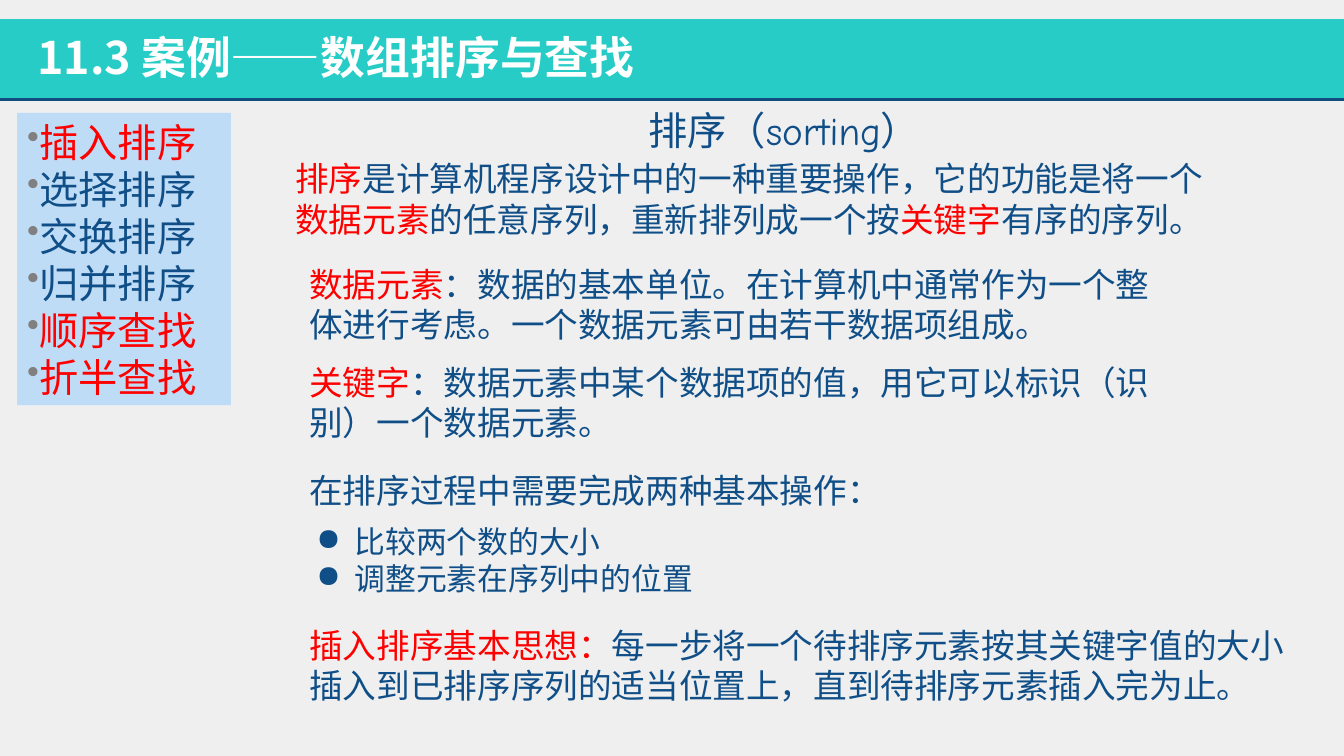
from lxml import etree
from pptx import Presentation
from pptx.dml.color import RGBColor
from pptx.enum.shapes import MSO_CONNECTOR, MSO_SHAPE
from pptx.enum.text import MSO_ANCHOR, PP_ALIGN
from pptx.oxml.ns import qn
from pptx.util import Inches, Pt

RECTANGLE, STRAIGHT = MSO_SHAPE.RECTANGLE, MSO_CONNECTOR.STRAIGHT
MIDDLE, TOP = MSO_ANCHOR.MIDDLE, MSO_ANCHOR.TOP
LEFT, CENTER = PP_ALIGN.LEFT, PP_ALIGN.CENTER

WIDTH, HEIGHT = 13.33, 7.5
BODY_LEFT = 2.97
CJK, LATIN = "Noto Sans CJK JP", "Comic Neue"
RED, NAVY, WHITE = "FF0000", "104E87", "FFFFFF"
LINE_HEIGHT = 1.2  # line pitch as a multiple of the text size


def color(value):
    return RGBColor.from_string(value)


def add_bullet(paragraph, character, indent, tint=None, percent=None):
    properties = paragraph._p.get_or_add_pPr()
    properties.set("marL", str(Inches(indent)))
    properties.set("indent", str(-Inches(indent)))
    if tint:
        holder = etree.SubElement(properties, qn("a:buClr"))
        etree.SubElement(holder, qn("a:srgbClr"), val=tint)
    if percent:
        etree.SubElement(properties, qn("a:buSzPct"), val=str(percent * 1000))
    etree.SubElement(properties, qn("a:buChar"), char=character)


def write(shape, paragraphs, size, bullet=None, bold=False, align=LEFT,
          after=0, anchor=TOP, face=CJK):
    """Each paragraph is a list of (text, colour) runs."""
    frame = shape.text_frame
    frame.word_wrap = True
    frame.vertical_anchor = anchor
    for index, runs in enumerate(paragraphs):
        paragraph = frame.paragraphs[0] if index == 0 else frame.add_paragraph()
        paragraph.alignment = align
        paragraph.line_spacing = Pt(size * LINE_HEIGHT)
        paragraph.space_after = Pt(after)
        if bullet:
            add_bullet(paragraph, *bullet)
        paragraph.font.size = Pt(size)
        paragraph.font.bold = bold
        paragraph.font.name = face
        for text, tint in runs:
            run = paragraph.add_run()
            run.text = text
            run.font.color.rgb = color(tint)
            # East Asian glyphs take their own typeface
            etree.SubElement(run._r.get_or_add_rPr(), qn("a:ea"), typeface=CJK)


def add_box(slide, left, top, width, height, fill):
    shape = slide.shapes.add_shape(
        RECTANGLE, *map(Inches, (left, top, width, height)))
    shape.shadow.inherit = False
    shape.fill.solid()
    shape.fill.fore_color.rgb = color(fill)
    shape.line.fill.background()
    return shape


def add_text(slide, left, top, width, height, paragraphs, size, **style):
    box = slide.shapes.add_textbox(*map(Inches, (left, top, width, height)))
    write(box, paragraphs, size, **style)


def add_rule(slide, top, tint, weight):
    rule = slide.shapes.add_connector(
        STRAIGHT, 0, Inches(top), Inches(WIDTH), Inches(top))
    rule.line.color.rgb = color(tint)
    rule.line.width = Pt(weight)
    etree.SubElement(rule._element.spPr, qn("a:effectLst"))


def main():
    presentation = Presentation()
    presentation.slide_width = Inches(WIDTH)
    presentation.slide_height = Inches(HEIGHT)
    slide = presentation.slides.add_slide(presentation.slide_layouts[6])
    slide.background.fill.solid()
    slide.background.fill.fore_color.rgb = color("EFEFEF")

    # Title band
    add_box(slide, 0, 0.19, WIDTH, 0.8, "26CCC5")
    add_rule(slide, 0.99, "104D7E", 2)
    add_text(slide, 0.27, 0.25, 8.52, 0.64,
             [[("11.3 案例——数组排序与查找", WHITE)]], 32, bold=True)

    # Topic list
    topics = [("插入排序", RED), ("选择排序", NAVY), ("交换排序", NAVY),
              ("归并排序", NAVY), ("顺序查找", RED), ("折半查找", RED)]
    write(add_box(slide, 0.17, 1.12, 2.12, 2.9, "BFDCF7"),
          [[topic] for topic in topics], 28,
          bullet=("•", 0.1, "808080", 90), anchor=MIDDLE)

    # Heading and definition of sorting
    add_text(slide, 3.28, 1.01, 9, 0.51, [[("排序（sorting）", NAVY)]], 28,
             align=CENTER, face=LATIN)
    add_text(slide, 2.83, 1.52, 9.45, 0.91, [[
        ("排序", RED), ("是计算机程序设计中的一种重要操作，它的功能是将一个", NAVY),
        ("数据元素", RED), ("的任意序列，重新排列成一个按", NAVY),
        ("关键字", RED), ("有序的序列。", NAVY)]], 24, after=12)

    # Terms
    add_text(slide, BODY_LEFT, 2.57, 8.66, 1.89, [
        [("数据元素", RED),
         ("：数据的基本单位。在计算机中通常作为一个整体进行考虑。"
          "一个数据元素可由若干数据项组成。", NAVY)],
        [("关键字", RED),
         ("：数据元素中某个数据项的值，用它可以标识（识别）一个数据元素。", NAVY)],
    ], 24, after=12)

    # Basic operations
    add_text(slide, BODY_LEFT, 4.61, 6.46, 0.51,
             [[("在排序过程中需要完成两种基本操作：", NAVY)]], 24)
    add_text(slide, 3.04, 5.14, 5, 0.84,
             [[("比较两个数的大小", NAVY)], [("调整元素在序列中的位置", NAVY)]],
             22, bullet=("●", 0.38))

    # Idea of insertion sort
    add_text(slide, BODY_LEFT, 6.15, 9.9, 0.91, [[
        ("插入排序基本思想：", RED),
        ("每一步将一个待排序元素按其关键字值的大小插入到已排序序列的适当位置上，"
         "直到待排序元素插入完为止。", NAVY)]], 24, after=12)

    presentation.save("out.pptx")


if __name__ == "__main__":
    main()
